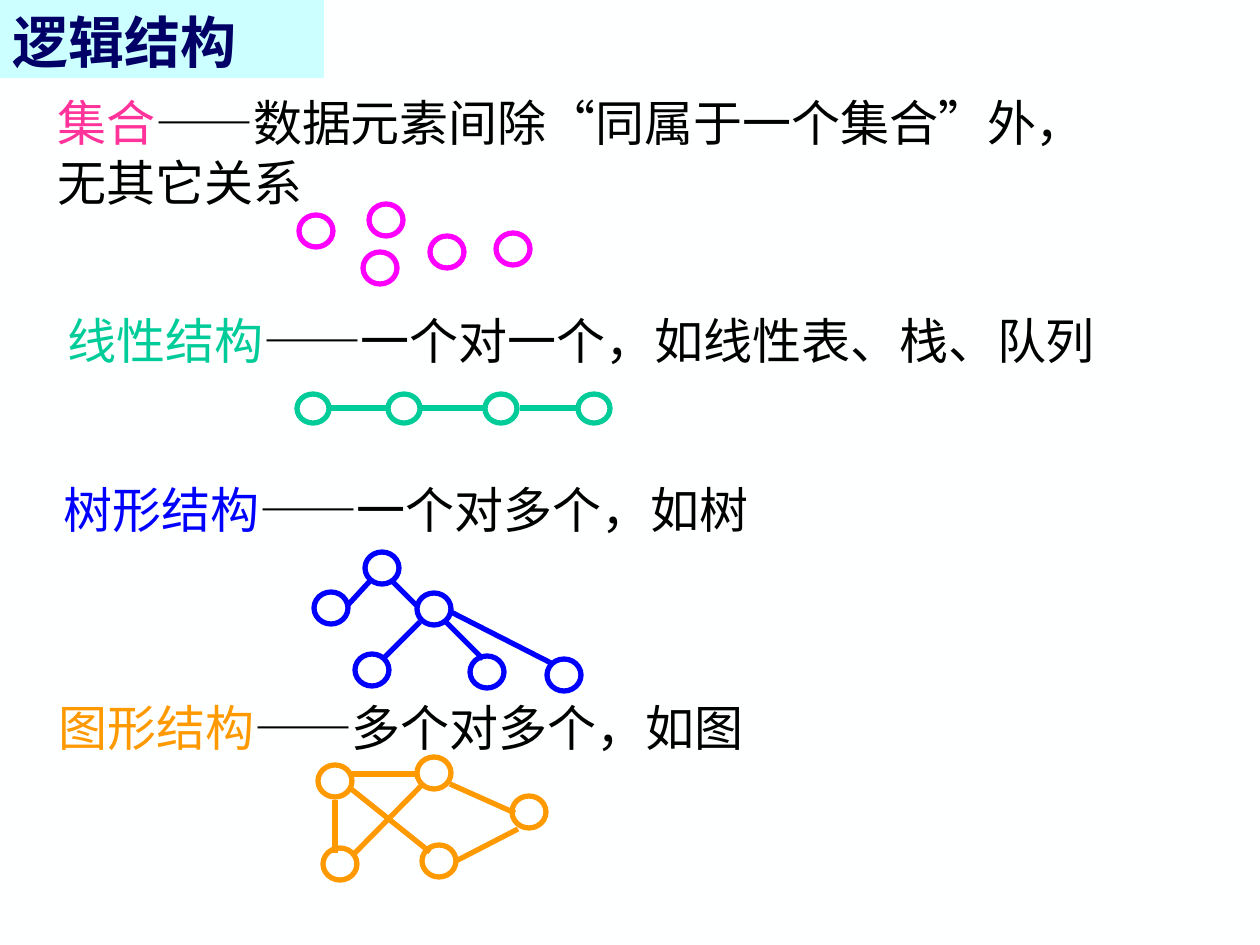
import pptx
import pptx.dml.color
import pptx.enum.shapes
import pptx.enum.text
import pptx.oxml.ns
import pptx.util
from lxml import etree

EMU_PER_PX = 914400 / 126
FONT = "Noto Sans CJK SC"
COLORS = {
    "background": "FEFFFF", "banner": "CCFFFF", "title": "000066", "text": "000000",
    "set_term": "FF3399", "set": "FF00FF", "linear": "00CC99",
    "tree": "0000FF", "graph": "FF9900",
}

# Each structure: term, explanation, text corner and height, term colour,
# diagram colour, node size, node corners, edges (x1, y1, x2, y2)
STRUCTURES = [
    ("集合", "——数据元素间除“同属于一个集合”外，无其它关系", (45, 86, 131),
     "set_term", "set", (34, 32),
     [(299, 215), (369, 204), (363, 252), (430, 236), (496, 233)],
     []),
    ("线性结构", "——一个对一个，如线性表、栈、队列", (55, 304, 72),
     "linear", "linear", (32, 29),
     [(x, 394) for x in (297, 388, 485, 578)],
     [(x1, 408, x2, 408) for x1, x2 in ((329, 387), (418, 486), (520, 576))]),
    ("树形结构", "——一个对多个，如树", (51, 473, 72),
     "tree", "tree", (34, 32),
     [(365, 552), (314, 592), (417, 593), (355, 654), (470, 656), (547, 659)],
     [(370, 581, 347, 606), (420, 622, 383, 659), (391, 580, 417, 606),
      (444, 620, 483, 659), (451, 612, 553, 664)]),
    ("图形结构", "——多个对多个，如图", (46, 691, 72),
     "graph", "graph", (34, 32),
     [(417, 757), (323, 848), (422, 845), (512, 796), (318, 765)],
     [(335, 800, 335, 853), (350, 788, 430, 852), (450, 784, 515, 813),
      (422, 785, 352, 856), (518, 829, 456, 861), (350, 774, 418, 774)]),
]


def px(length):
    return pptx.util.Emu(round(length * EMU_PER_PX))


def rgb(name):
    return pptx.dml.color.RGBColor.from_string(COLORS[name])


def add_run(paragraph, text, size, color, bold=False):
    run = paragraph.add_run()
    run.text = text
    run.font.size = pptx.util.Pt(size)
    run.font.bold = bold
    run.font.color.rgb = rgb(color)
    run.font.name = FONT
    # East Asian typeface
    east_asian = etree.SubElement(run.font._element, pptx.oxml.ns.qn("a:ea"))
    east_asian.set("typeface", FONT)


def style_line(line, color):
    line.color.rgb = rgb(color)
    line.width = pptx.util.Pt(3)


def set_title(slide, text):
    title = slide.shapes.title
    title.left, title.top, title.width, title.height = px(0), px(0), px(324), px(78)
    title.fill.solid()
    title.fill.fore_color.rgb = rgb("banner")
    frame = title.text_frame
    frame.auto_size = pptx.enum.text.MSO_AUTO_SIZE.NONE
    frame.vertical_anchor = pptx.enum.text.MSO_ANCHOR.BOTTOM
    frame.margin_bottom = px(3)
    heading = frame.paragraphs[0]
    heading.alignment = pptx.enum.text.PP_ALIGN.LEFT
    heading.line_spacing = pptx.util.Pt(39)
    add_run(heading, text, 32, "title", bold=True)


def add_description(slide, corner, term, explanation, color):
    left, top, height = corner
    description = slide.shapes.add_textbox(px(left), px(top), px(1090), px(height))
    frame = description.text_frame
    frame.word_wrap = True
    sentence = frame.paragraphs[0]
    sentence.line_spacing = pptx.util.Pt(34)
    add_run(sentence, term, 28, color)
    add_run(sentence, explanation, 28, "text")


def add_node(diagram, corner, size, color):
    node = diagram.shapes.add_shape(
        pptx.enum.shapes.MSO_SHAPE.OVAL, *map(px, corner + size))
    node.shadow.inherit = False
    node.fill.background()
    style_line(node.line, color)


def add_edge(diagram, ends, color):
    edge = diagram.shapes.add_connector(
        pptx.enum.shapes.MSO_CONNECTOR.STRAIGHT, *map(px, ends))
    style_line(edge.line, color)
    etree.SubElement(edge._element.spPr, pptx.oxml.ns.qn("a:effectLst"))


def add_diagram(slide, nodes, size, edges, color):
    diagram = slide.shapes.add_group_shape()
    for corner in nodes:
        add_node(diagram, corner, size, color)
    for ends in edges:
        add_edge(diagram, ends, color)


def main():
    deck = pptx.Presentation()
    deck.slide_width, deck.slide_height = px(1260), px(945)
    slide = deck.slides.add_slide(deck.slide_layouts[5])
    slide.background.fill.solid()
    slide.background.fill.fore_color.rgb = rgb("background")

    set_title(slide, "逻辑结构")
    for term, explanation, corner, term_color, color, size, nodes, edges in STRUCTURES:
        add_diagram(slide, nodes, size, edges, color)
        add_description(slide, corner, term, explanation, term_color)

    deck.save("out.pptx")


if __name__ == "__main__":
    main()
